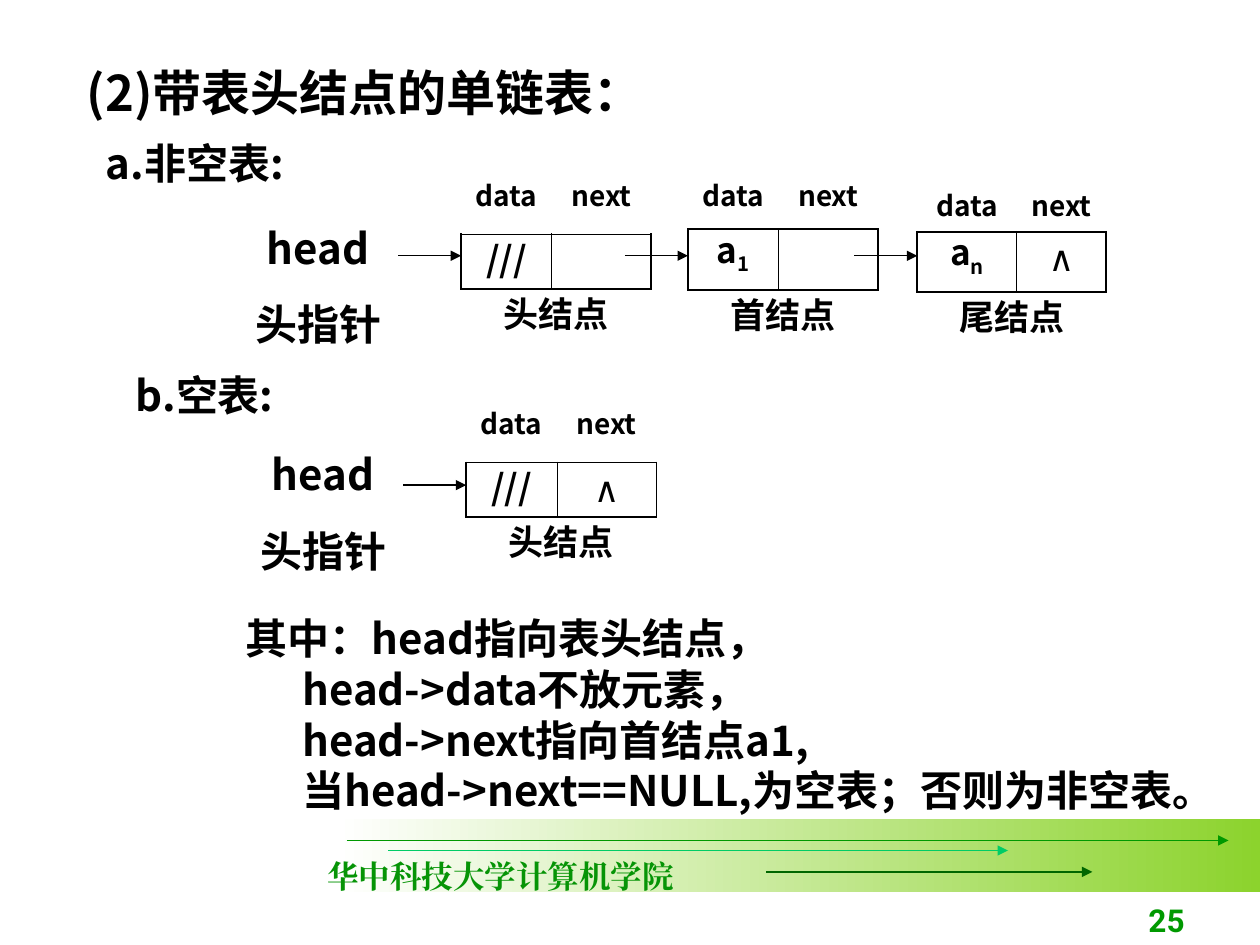
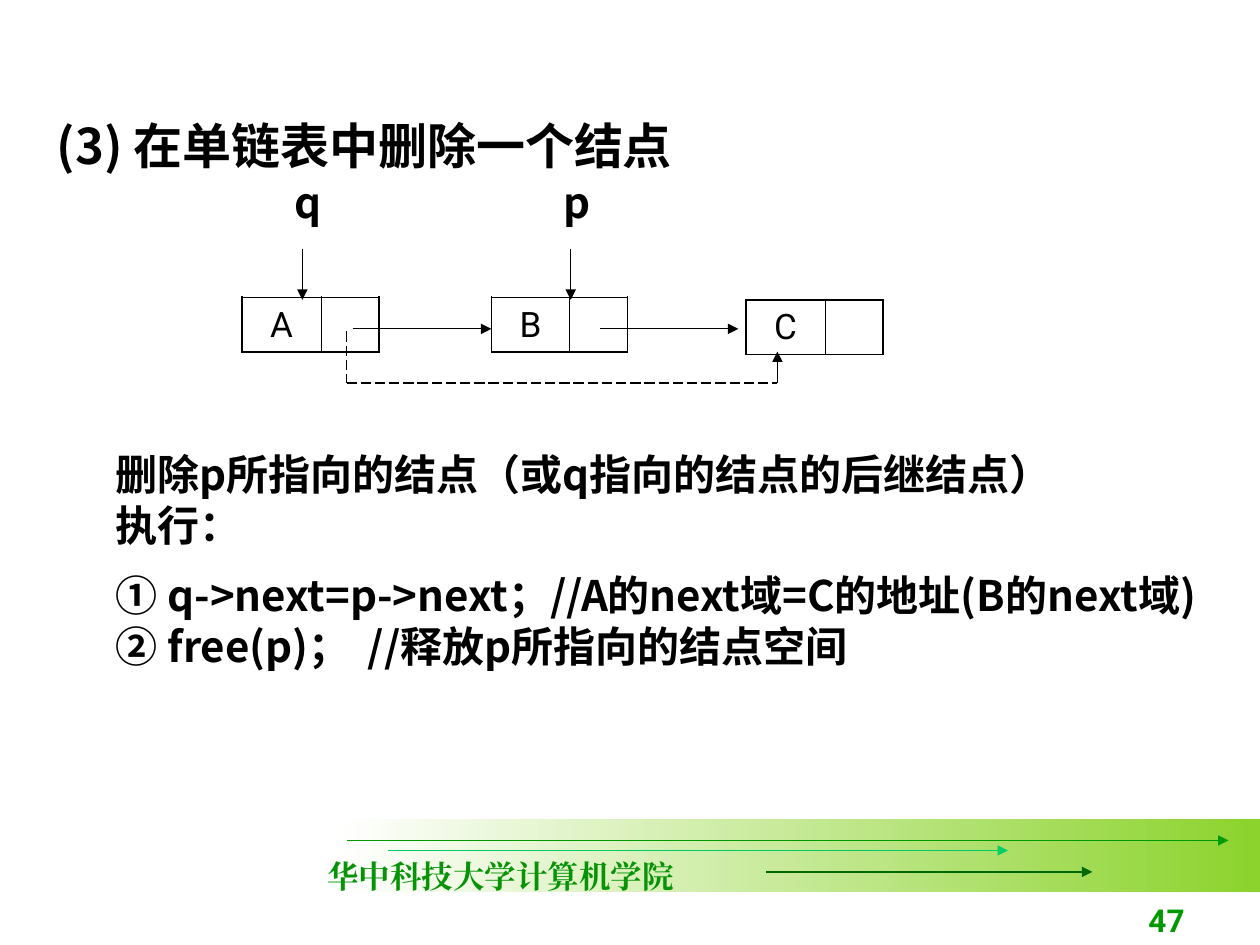
from lxml import etree
from pptx import Presentation
from pptx.dml.color import RGBColor
from pptx.enum.dml import MSO_LINE
from pptx.enum.shapes import MSO_CONNECTOR, MSO_SHAPE
from pptx.enum.text import MSO_ANCHOR, MSO_AUTO_SIZE, PP_ALIGN
from pptx.oxml.ns import qn
from pptx.util import Pt

PX = 9144
LEFT, CENTER, RIGHT = PP_ALIGN.LEFT, PP_ALIGN.CENTER, PP_ALIGN.RIGHT
TOP, BOTTOM = MSO_ANCHOR.TOP, MSO_ANCHOR.BOTTOM
STRAIGHT, RECTANGLE = MSO_CONNECTOR.STRAIGHT, MSO_SHAPE.RECTANGLE
LONG_DASH, FIXED_SIZE = MSO_LINE.LONG_DASH, MSO_AUTO_SIZE.NONE
COLORS = {
    "ink": "000000", "white": "FFFFFF", "lime": "8CD32D", "green": "009900",
    "mint": "00CC66", "forest": "006600", "school": "069406",
}
MAIN, PLAIN, SCHOOL = "Noto Sans CJK SC", "Roboto", "Times New Roman"
NO_STYLE = "{2D5ABB26-0587-4C30-8999-92F81FD0307C}"
THICK, THIN = 13716, 5715


def write(paragraph, text, size, font=MAIN, bold=True, color="ink", align=LEFT, before=0):
    paragraph.alignment = align
    paragraph.line_spacing = Pt(round(size * 1.2))
    paragraph.space_before = Pt(before)
    paragraph.font.size = Pt(size)
    paragraph.font.bold = bold
    paragraph.font.name = font
    paragraph.font.color.rgb = RGBColor.from_string(COLORS[color])
    defaults = paragraph._p.pPr.find(qn("a:defRPr"))
    etree.SubElement(defaults, qn("a:ea")).set("typeface", font)
    base, _, subscript = text.partition("_")
    paragraph.add_run().text = base
    if subscript:
        span = paragraph.add_run()
        span.text = subscript
        span._r.get_or_add_rPr().set("baseline", "-25000")


def connect(page, x1, y1, x2, y2, color="ink", arrow=True, dashed=False):
    line = page.shapes.add_connector(STRAIGHT, x1 * PX, y1 * PX, x2 * PX, y2 * PX)
    line.line.color.rgb = RGBColor.from_string(COLORS[color])
    line.line.width = Pt(0.75)
    if dashed:
        line.line.dash_style = LONG_DASH
    properties = line._element.spPr
    if arrow:
        etree.SubElement(properties.find(qn("a:ln")), qn("a:tailEnd")).set("type", "triangle")
    etree.SubElement(properties, qn("a:effectLst"))


deck = Presentation()
deck.slide_width, deck.slide_height = 1000 * PX, 750 * PX
pages = [deck.slides.add_slide(deck.slide_layouts[1]) for _ in range(2)]
head_page, delete_page = pages

for page, number in zip(pages, ("25", "47")):
    band = page.shapes.add_shape(RECTANGLE, 267 * PX, 650 * PX, 733 * PX, 58 * PX)
    band.shadow.inherit = False
    band.line.fill.background()
    band.fill.gradient()
    band.fill.gradient_angle = 0
    for stop, position, color in zip(band.fill.gradient_stops, (0, 1), ("white", "lime")):
        stop.position = position
        stop.color.rgb = RGBColor.from_string(COLORS[color])
    for start, end, y, color in (
        (275, 975, 667, "green"), (308, 800, 675, "mint"), (608, 867, 692, "forest"),
    ):
        connect(page, start, y, end, y, color)
    footer = page.shapes.add_textbox(250 * PX, 675 * PX, 295 * PX, 40 * PX)
    footer.text_frame.word_wrap = False
    write(footer.text_frame.paragraphs[0], "华中科技大学计算机学院", 18, SCHOOL, color="school")
    counter = page.shapes.add_textbox(742 * PX, 700 * PX, 208 * PX, 50 * PX)
    counter.text_frame.word_wrap = True
    counter.text_frame.vertical_anchor = BOTTOM
    write(counter.text_frame.paragraphs[0], number, 18, PLAIN, color="green", align=RIGHT)

titles = (
    (head_page, "(2)带表头结点的单链表：", 59, 44),
    (delete_page, "(3) 在单链表中删除一个结点", 35, 86),
)
for page, text, left, top in titles:
    title = page.shapes.title
    title.left, title.top, title.width, title.height = left * PX, top * PX, 815 * PX, 57 * PX
    title.text_frame.word_wrap = True
    title.text_frame.auto_size = FIXED_SIZE
    title.text_frame.vertical_anchor = TOP
    write(title.text_frame.paragraphs[0], text, 28)

bodies = (
    (head_page, (177, 481, 811, 210), (
        ("其中：head指向表头结点，", 8, 0),
        ("head->data不放元素，", 53, 0),
        ("head->next指向首结点a1,", 53, 0),
        ("当head->next==NULL,为空表；否则为非空表。", 53, 0),
    )),
    (delete_page, (82, 351, 882, 288), (
        ("删除p所指向的结点（或q指向的结点的后继结点）", 0, 0),
        ("执行：", 0, 0),
        ("① q->next=p->next；//A的next域=C的地址(B的next域)", 0, 11),
        ("② free(p)；\t//释放p所指向的结点空间", 0, 0),
    )),
)
for page, area, lines in bodies:
    body = page.placeholders[1]
    body.left, body.top, body.width, body.height = (length * PX for length in area)
    frame = body.text_frame
    frame.word_wrap = True
    frame.auto_size = FIXED_SIZE
    frame.vertical_anchor = TOP
    for index, (text, indent, before) in enumerate(lines):
        paragraph = frame.add_paragraph() if index else frame.paragraphs[0]
        properties = paragraph._p.get_or_add_pPr()
        properties.set("marL", "0")
        properties.set("indent", str(indent * PX))
        etree.SubElement(properties, qn("a:buNone"))
        if "\t" in text:
            tab = etree.SubElement(etree.SubElement(properties, qn("a:tabLst")), qn("a:tab"))
            tab.set("pos", str(263 * PX))
            tab.set("algn", "l")
        write(paragraph, text, 24, before=before)

labels = (
    (head_page, 74, 104, 173, 50, LEFT, ("a.非空表:",)),
    (head_page, 98, 288, 173, 50, LEFT, ("b.空表:",)),
    (head_page, 181, 171, 143, 111, CENTER, ("head", "头指针")),
    (head_page, 185, 351, 143, 111, CENTER, ("head", "头指针")),
    (delete_page, 224, 135, 39, 50, LEFT, ("q",)),
    (delete_page, 437, 135, 39, 50, LEFT, ("p",)),
)
for page, left, top, width, height, align, lines in labels:
    box = page.shapes.add_textbox(left * PX, top * PX, width * PX, height * PX)
    frame = box.text_frame
    frame.word_wrap = True
    for index, text in enumerate(lines):
        paragraph = frame.add_paragraph() if index else frame.paragraphs[0]
        write(paragraph, text, 24, align=align, before=15 if index else 0)

header = ("data", "next")
nodes = (
    (head_page, 366, 139, (72, 79), (47, 43, 43), (header, ("///", ""), ("头结点", ""))),
    (head_page, 546, 139, (72, 79), (43, 48, 43), (header, ("a_1", ""), ("首结点", ""))),
    (head_page, 728, 147, (79, 71), (37, 48, 43), (header, ("a_n", "∧"), ("尾结点", ""))),
    (head_page, 370, 320, (72, 79), (47, 43, 43), (header, ("///", "∧"), ("头结点", ""))),
    (delete_page, 192, 236, (63, 46), (43,), (("A", ""),)),
    (delete_page, 390, 236, (62, 46), (43,), (("B", ""),)),
    (delete_page, 592, 238, (63, 46), (43,), (("C", ""),)),
)
for page, left, top, widths, heights, rows in nodes:
    table = page.shapes.add_table(
        len(rows), 2, left * PX, top * PX, sum(widths) * PX, sum(heights) * PX
    ).table
    table.first_row = table.horz_banding = False
    table._tbl.tblPr.find(qn("a:tableStyleId")).text = NO_STYLE
    for column, width in zip(table.columns, widths):
        column.width = width * PX
    for row, height in zip(table.rows, heights):
        row.height = height * PX
    if len(rows) == 3:
        table.cell(2, 0).merge(table.cell(2, 1))
    for row_index, texts in enumerate(rows):
        for column_index, text in enumerate(texts):
            cell = table.cell(row_index, column_index)
            if row_index == len(rows) // 2:
                inner = "lnL" if column_index else "lnR"
                for side in ("lnL", "lnR", "lnT", "lnB"):
                    border = etree.SubElement(cell._tc.get_or_add_tcPr(), qn("a:" + side))
                    border.set("w", str(THIN if side == inner else THICK))
                    fill = etree.SubElement(border, qn("a:solidFill"))
                    etree.SubElement(fill, qn("a:srgbClr")).set("val", COLORS["ink"])
            cell.fill.background()
            if text:
                plain = text in "ABC∧"
                size, before = (16, 4) if texts == header else (20, 5)
                write(cell.text_frame.paragraphs[0], text, size, PLAIN if plain else MAIN,
                      not plain, align=CENTER, before=before)

for left, y in ((316, 203), (496, 203), (678, 203), (320, 385)):
    connect(head_page, left, y, left + 50, y)
for left in (280, 476):
    connect(delete_page, left, 261, left + 110, 261)
for x in (240, 453):
    connect(delete_page, x, 198, x, 238)
connect(delete_page, 275, 263, 275, 304, arrow=False, dashed=True)
connect(delete_page, 275, 304, 617, 304, arrow=False, dashed=True)
connect(delete_page, 617, 304, 617, 279)

deck.save("out.pptx")
